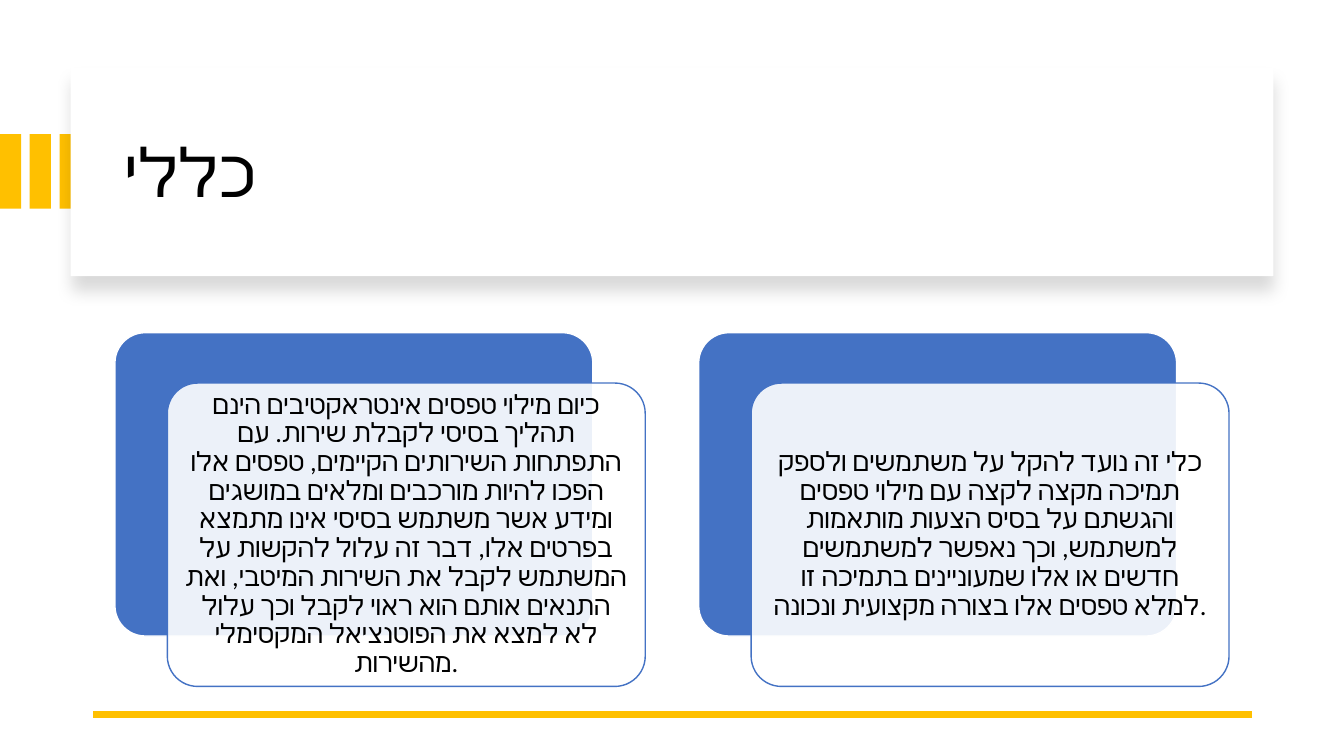
from lxml import etree
from pptx import Presentation
from pptx.dml.color import RGBColor
from pptx.enum import shapes, text
from pptx.oxml.ns import qn
from pptx.util import Inches, Pt

COLORS = {"white": "FFFFFF", "gold": "FFC000", "blue": "4472C4", "black": "000000"}
FONT = "Calibri"
TITLE = "כללי"
CARDS = [
    "כיום מילוי טפסים אינטראקטיבים הינם תהליך בסיסי לקבלת שירות. "
    "עם התפתחות השירותים הקיימים, טפסים אלו הפכו להיות מורכבים ומלאים במושגים "
    "ומידע אשר משתמש בסיסי אינו מתמצא בפרטים אלו, דבר זה עלול להקשות על המשתמש "
    "לקבל את השירות המיטבי, ואת התנאים אותם הוא ראוי לקבל וכך עלול לא למצא את "
    "הפוטנציאל המקסימלי מהשירות.",
    "כלי זה נועד להקל על משתמשים ולספק תמיכה מקצה לקצה עם מילוי טפסים "
    "והגשתם על בסיס הצעות מותאמות למשתמש, וכך נאפשר למשתמשים חדשים או אלו "
    "שמעוניינים בתמיכה זו למלא טפסים אלו בצורה מקצועית ונכונה.",
]
STRIPE_COUNT, STRIPE_PITCH = 3, 0.295
CARD_LEFT, CARD_TOP, CARD_PITCH = 1.14, 3.3, 5.79
CARD_WIDTH, CARD_HEIGHT = 4.74, 3.01
FRONT_DX, FRONT_DY = 0.52, 0.5


def color(name):
    return RGBColor.from_string(COLORS[name])


def add_block(slide, kind, box, fill, line=None):
    """Add a filled shape with an optional one-point outline."""
    block = slide.shapes.add_shape(kind, *map(Inches, box))
    block.shadow.inherit = False
    block.fill.solid()
    block.fill.fore_color.rgb = color(fill)
    if line:
        block.line.color.rgb = color(line)
        block.line.width = Pt(1)
    else:
        block.line.fill.background()
    if kind == shapes.MSO_SHAPE.ROUNDED_RECTANGLE:
        block.adjustments[0] = 0.1
    return block


def write(frame, words, size, align):
    """Fill a frame with one paragraph and return that paragraph."""
    frame.word_wrap = True
    frame.vertical_anchor = text.MSO_ANCHOR.MIDDLE
    frame.text = words
    paragraph = frame.paragraphs[0]
    paragraph.alignment = align
    paragraph.line_spacing = 0.9
    font = paragraph.runs[0].font
    font.name, font.size = FONT, Pt(size)
    font.color.rgb = color("black")
    etree.SubElement(font._element, qn("a:cs")).set("typeface", FONT)
    return paragraph


def add_banner(slide):
    """Add the stripes, the raised banner and its title."""
    rectangle = shapes.MSO_SHAPE.RECTANGLE
    for i in range(STRIPE_COUNT):
        add_block(slide, rectangle, (i * STRIPE_PITCH, 1.33, 0.21, 0.74), "gold")
    banner = add_block(slide, rectangle, (0.7, 0.67, 11.93, 2.07), "white")
    effects = banner._element.spPr.find(qn("a:effectLst"))
    shadow = etree.SubElement(effects, qn("a:outerShdw"), blurRad=str(Pt(11)),
                              dist=str(Pt(10)), dir="5400000", algn="t", rotWithShape="0")
    shade = etree.SubElement(shadow, qn("a:srgbClr"), val=COLORS["black"])
    etree.SubElement(shade, qn("a:alpha"), val="15000")
    title = slide.shapes.add_textbox(*map(Inches, (1.14, 0.89, 11.13, 1.7)))
    paragraph = write(title.text_frame, TITLE, 48, text.PP_ALIGN.LEFT)
    paragraph._p.get_or_add_pPr().set("rtl", "1")


def add_card(slide, left, words):
    """Add a blue back plate with a translucent text card in front."""
    rounded = shapes.MSO_SHAPE.ROUNDED_RECTANGLE
    size = (CARD_WIDTH, CARD_HEIGHT)
    add_block(slide, rounded, (left, CARD_TOP, *size), "blue", "white")
    front = add_block(slide, rounded, (left + FRONT_DX, CARD_TOP + FRONT_DY, *size),
                      "white", "blue")
    fill = front._element.spPr.find(qn("a:solidFill"))
    etree.SubElement(fill[0], qn("a:alpha"), val="90000")
    frame = front.text_frame
    frame.margin_left = frame.margin_right = Inches(0.08)
    frame.margin_top = frame.margin_bottom = Inches(0.08)
    write(frame, words, 19, text.PP_ALIGN.CENTER)


def main():
    """Build the slide and save it."""
    deck = Presentation()
    deck.slide_width, deck.slide_height = Inches(13.33), Inches(7.5)
    slide = deck.slides.add_slide(deck.slide_layouts[6])
    add_banner(slide)
    rule = slide.shapes.add_connector(shapes.MSO_CONNECTOR.STRAIGHT,
                                      *map(Inches, (12.42, 7.09, 0.92, 7.09)))
    rule.line.color.rgb = color("gold")
    rule.line.width = Pt(4.5)
    etree.SubElement(rule._element.spPr, qn("a:effectLst"))
    for i, words in enumerate(CARDS):
        add_card(slide, CARD_LEFT + i * CARD_PITCH, words)
    deck.save("out.pptx")


if __name__ == "__main__":
    main()
